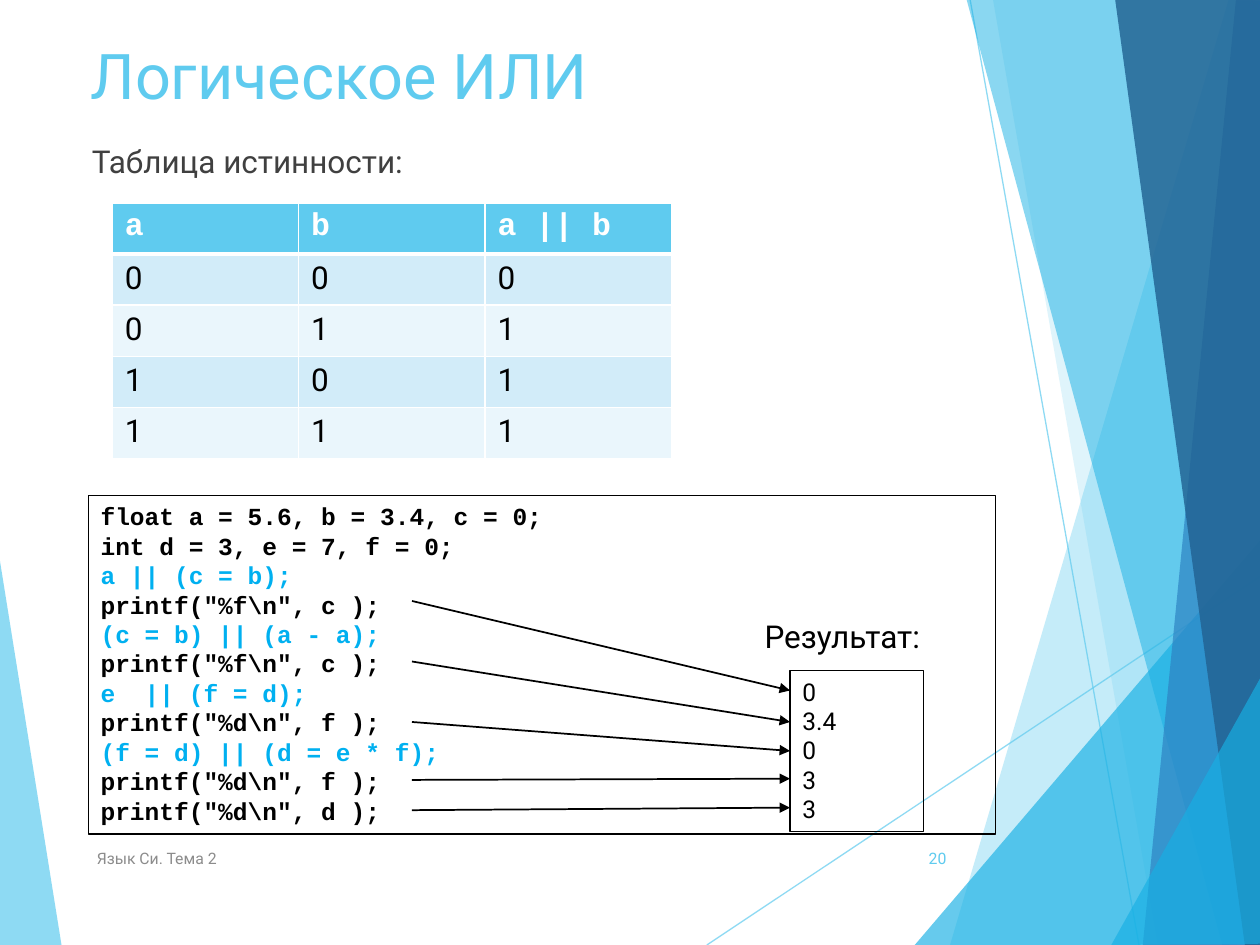
from lxml.etree import SubElement as Sub
from pptx import Presentation
from pptx.dml.color import RGBColor as RGB
from pptx.enum.shapes import MSO_CONNECTOR as Conn, MSO_SHAPE as Shape
from pptx.enum.text import MSO_ANCHOR as Anchor, PP_ALIGN as Align
from pptx.oxml.ns import qn
from pptx.util import Pt

PX = 9144  # 100 px to the inch
SANS, MONO = "Roboto", "Courier New"
COLORS = {
    "sky": "5FCBEF", "cyan": "17B0E4", "blue": "2E83C3", "navy": "226292",
    "code": "00B0F0", "dark": "404040", "gray": "8C8C8C",
    "black": "000000", "white": "FFFFFF", "band": "D2ECF9", "pale": "EAF6FC",
}

# Decoration from back to front: color, opacity in percent, corners
WEDGE = ("sky", 70, [(-1, 439), (49, 751), (-1, 750)])
RAYS = [(561, 750, 1001, 457), (770, 0, 904, 750)]
FACETS = [
    ("sky", 36, [(975, 0), (754, 750), (1002, 751), (1001, 1)]),
    ("sky", 20, [(788, -1), (919, 750), (1001, 750), (1001, -1)]),
    ("cyan", 66, [(726, 750), (1000, 429), (1001, 750)]),
    ("cyan", 50, [(767, -1), (970, 750), (1001, 749), (1001, -1)]),
    ("blue", 70, [(981, -1), (907, 750), (1001, 750), (1000, -1)]),
    ("navy", 82, [(885, -1), (988, 750), (1002, 750), (1000, -1)]),
    ("cyan", 66, [(882, 750), (1002, 535), (1002, 749)]),
]

TRUTH = [("a", "b", "a || b")] + [
    (str(a), str(b), str(a | b)) for a in (0, 1) for b in (0, 1)]

CODE = r"""float a = 5.6, b = 3.4, c = 0;
int d = 3, e = 7, f = 0;
a || (c = b);
printf("%f\n", c );
(c = b) || (a - a);
printf("%f\n", c );
e  || (f = d);
printf("%d\n", f );
(f = d) || (d = e * f);
printf("%d\n", f );
printf("%d\n", d );""".split("\n")
PLAIN = ("float", "int", "printf")
RESULT = ["0", "3.4", "0", "3", "3"]
ARROWS = [(477, 548), (525, 573), (573, 596), (619, 618), (643, 641)]


def emu(*vals):
    return [v * PX for v in vals]


def rgb(name):
    return RGB.from_string(COLORS[name])


def paint(fill, name):
    fill.solid()
    fill.fore_color.rgb = rgb(name)


def fade(shape, pct):
    color = next(shape._element.spPr.iter(qn("a:srgbClr")))
    Sub(color, qn("a:alpha"), val=str(pct * 1000))


def style(par, size, color, font=SANS, bold=False):
    par.font.size = Pt(size)
    par.font.name = font
    par.font.bold = bold
    par.font.color.rgb = rgb(color)


def write(shape, lines, size, font=SANS, bold=False):
    """Fill a shape with (text, color) lines, one paragraph each."""
    frame = shape.text_frame
    frame.word_wrap = True
    for i, (text, color) in enumerate(lines):
        par = frame.add_paragraph() if i else frame.paragraphs[0]
        par.text = text
        par.alignment = Align.LEFT
        style(par, size, color, font, bold)
    return frame


def label(slide, box, text, size, color):
    return write(slide.shapes.add_textbox(*emu(*box)), [(text, color)], size)


def frame_box(slide, box, lines, font=SANS, bold=False):
    rect = slide.shapes.add_shape(Shape.RECTANGLE, *emu(*box))
    rect.shadow.inherit = False
    rect.fill.background()
    rect.line.color.rgb = rgb("black")
    rect.line.width = Pt(0.75)
    write(rect, lines, 14, font, bold).vertical_anchor = Anchor.TOP
    return rect


def facet(slide, color, pct, pts):
    pts = [emu(*pt) for pt in pts]
    build = slide.shapes.build_freeform(*pts[0])
    build.add_line_segments(pts[1:], close=True)
    shape = build.convert_to_shape()
    shape.shadow.inherit = False
    paint(shape.fill, color)
    shape.line.fill.background()
    fade(shape, pct)


def line(slide, ends, color, width):
    link = slide.shapes.add_connector(Conn.STRAIGHT, *emu(*ends))
    link.line.color.rgb = rgb(color)
    link.line.width = Pt(width)
    Sub(link._element.spPr, qn("a:effectLst"))
    return link


def arrow(slide, ends):
    link = line(slide, ends, "black", 1)
    Sub(link.line._get_or_add_ln(), qn("a:tailEnd"), type="triangle")
    return link


def border(cell, side, width):
    props = cell._tc.get_or_add_tcPr()
    edge = Sub(props, qn("a:ln" + side), w=str(Pt(width)))
    fill = Sub(edge, qn("a:solidFill"))
    Sub(fill, qn("a:srgbClr"), val=COLORS["white"])


def truth_table(slide, box, rows):
    grid = slide.shapes.add_table(len(rows), len(rows[0]), *emu(*box)).table
    for r, row in enumerate(rows):
        head = r == 0
        back = "sky" if head else ("pale", "band")[r % 2]
        for c, text in enumerate(row):
            cell = grid.cell(r, c)
            cell.text = text
            style(cell.text_frame.paragraphs[0], 18,
                  "white" if head else "black", MONO if head else SANS, head)
            for side in "LRTB":
                thick = (head and side == "B") or (r == 1 and side == "T")
                border(cell, side, 3 if thick else 1)
            paint(cell.fill, back)


def backdrop(slide):
    facet(slide, *WEDGE)
    for ends in RAYS:
        fade(line(slide, ends, "sky", 0.75), 70)
    for item in FACETS:
        facet(slide, *item)


def main():
    deck = Presentation()
    deck.slide_width, deck.slide_height = emu(1000, 750)
    slide = deck.slides.add_slide(deck.slide_layouts[6])
    backdrop(slide)

    # Heading and footer
    label(slide, (62, 24, 694, 144), "Логическое ИЛИ", 36, "sky")
    intro = label(slide, (63, 108, 692, 52), "Таблица истинности:", 18, "dark")
    intro.paragraphs[0].space_before = Pt(10)
    foot = label(slide, (67, 661, 506, 40), "Язык Си. Тема 2", 9, "gray")
    page = label(slide, (705, 661, 56, 40), "20", 9, "sky")
    foot.vertical_anchor = page.vertical_anchor = Anchor.MIDDLE
    page.paragraphs[0].alignment = Align.RIGHT

    truth_table(slide, (89, 161, 444, 203), TRUTH)

    # Code and its output
    lines = [(s, "black" if s.startswith(PLAIN) else "code") for s in CODE]
    frame_box(slide, (70, 393, 720, 269), lines, MONO, True)
    label(slide, (597, 485, 157, 40), "Результат:", 18, "black")
    out = frame_box(slide, (627, 532, 106, 128), [(s, "black") for s in RESULT])
    links = [arrow(slide, (327, top, 627, end)) for top, end in ARROWS]
    links[2].end_connect(out, 1)

    deck.save("out.pptx")


if __name__ == "__main__":
    main()
